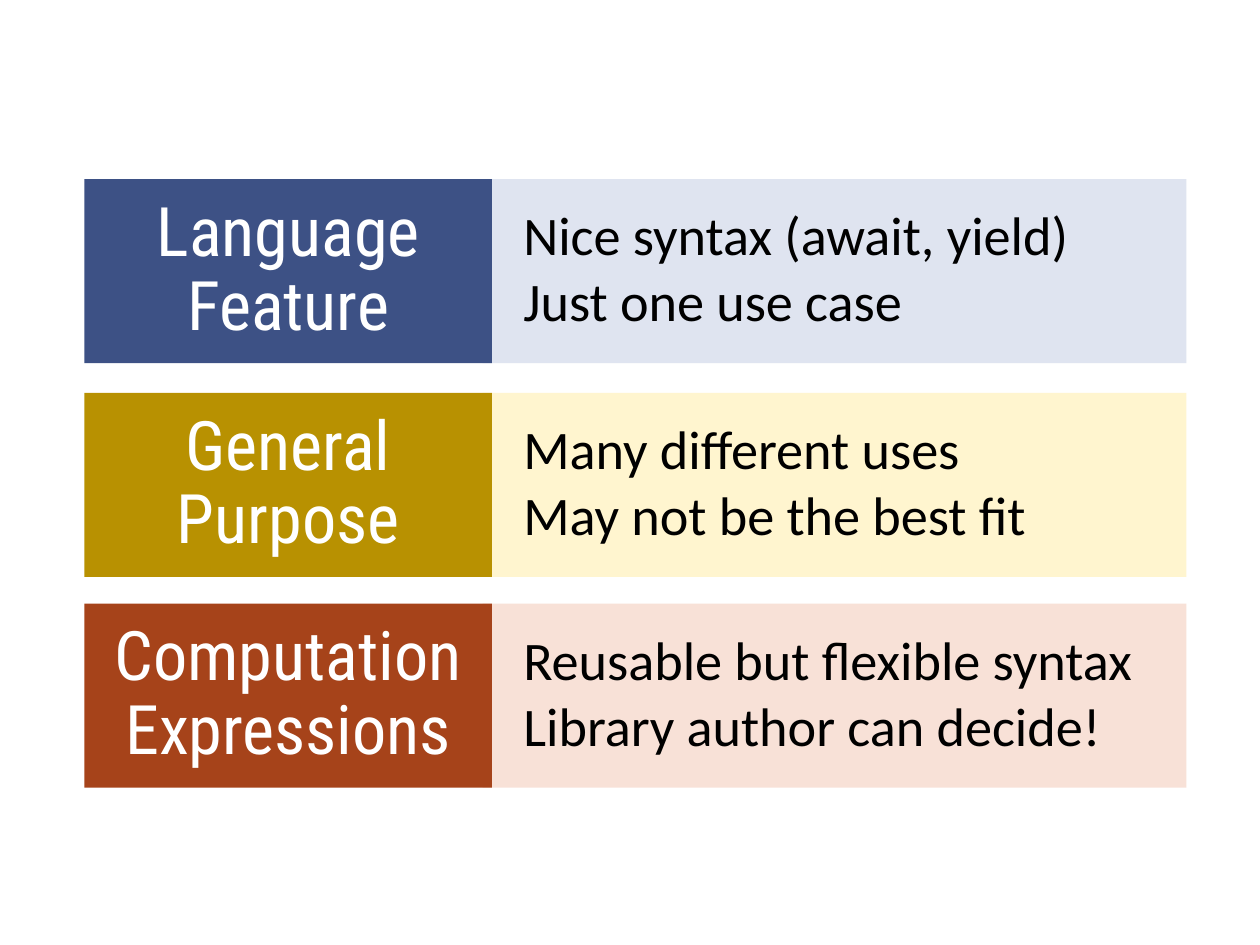
from lxml import etree
from pptx import Presentation
from pptx.dml.color import RGBColor
from pptx.enum.shapes import MSO_SHAPE
from pptx.enum.text import MSO_ANCHOR, PP_ALIGN
from pptx.oxml.ns import qn
from pptx.util import Cm, Pt

RECTANGLE = MSO_SHAPE.RECTANGLE
MIDDLE = MSO_ANCHOR.MIDDLE
LEFT, CENTER = PP_ALIGN.LEFT, PP_ALIGN.CENTER

COLORS = {
    "blue": "3D5185", "pale blue": "DCE2EF",
    "gold": "B89101", "pale gold": "FFF4CA",
    "rust": "A6431A", "pale rust": "F8DED3",
    "white": "FFFFFF", "black": "000000",
}
ROW_HEIGHT = 3.71
ROWS = [
    (3.61, "blue", "Language Feature",
     ["Nice syntax (await, yield)", "Just one use case"]),
    (7.92, "gold", "General Purpose",
     ["Many different uses", "May not be the best fit"]),
    (12.17, "rust", "Computation Expressions",
     ["Reusable but flexible syntax", "Library author can decide!"]),
]

prs = Presentation()
prs.slide_width, prs.slide_height = Cm(25.4), Cm(19.05)
slide = prs.slides.add_slide(prs.slide_layouts[6])


def add_panel(left, top, width, color, margins):
    panel = slide.shapes.add_shape(
        RECTANGLE, Cm(left), Cm(top), Cm(width), Cm(ROW_HEIGHT))
    panel.shadow.inherit = False
    panel.fill.solid()
    panel.fill.fore_color.rgb = RGBColor.from_string(COLORS[color])
    panel.line.fill.background()
    frame = panel.text_frame
    frame.word_wrap = True
    frame.vertical_anchor = MIDDLE
    frame.margin_left, frame.margin_right = (Cm(m) for m in margins)
    frame.margin_top = frame.margin_bottom = Cm(0.18)
    return panel


def write_lines(frame, lines, font, size, color, align, space_after):
    for number, line in enumerate(lines):
        paragraph = frame.add_paragraph() if number else frame.paragraphs[0]
        paragraph.alignment = align
        paragraph.line_spacing = 0.9
        paragraph.space_after = Pt(space_after)
        run = paragraph.add_run()
        run.text = line
        run.font.name = font
        run.font.size = Pt(size)
        run.font.color.rgb = RGBColor.from_string(COLORS[color])


for top, color, approach, remarks in ROWS:
    remark_panel = add_panel(9.73, top, 14.19, f"pale {color}", (0.82, 0.33))
    fill_color = remark_panel.fill._xPr.find(qn("a:solidFill"))[0]
    etree.SubElement(fill_color, qn("a:alpha"), val="90000")
    write_lines(remark_panel.text_frame, remarks,
                "Calibri", 31, "black", LEFT, 4)

    approach_panel = add_panel(1.7, top, 8.22, color, (0.41, 0.41))
    write_lines(approach_panel.text_frame, [approach],
                "Roboto Condensed", 39, "white", CENTER, 0)

prs.save("out.pptx")
